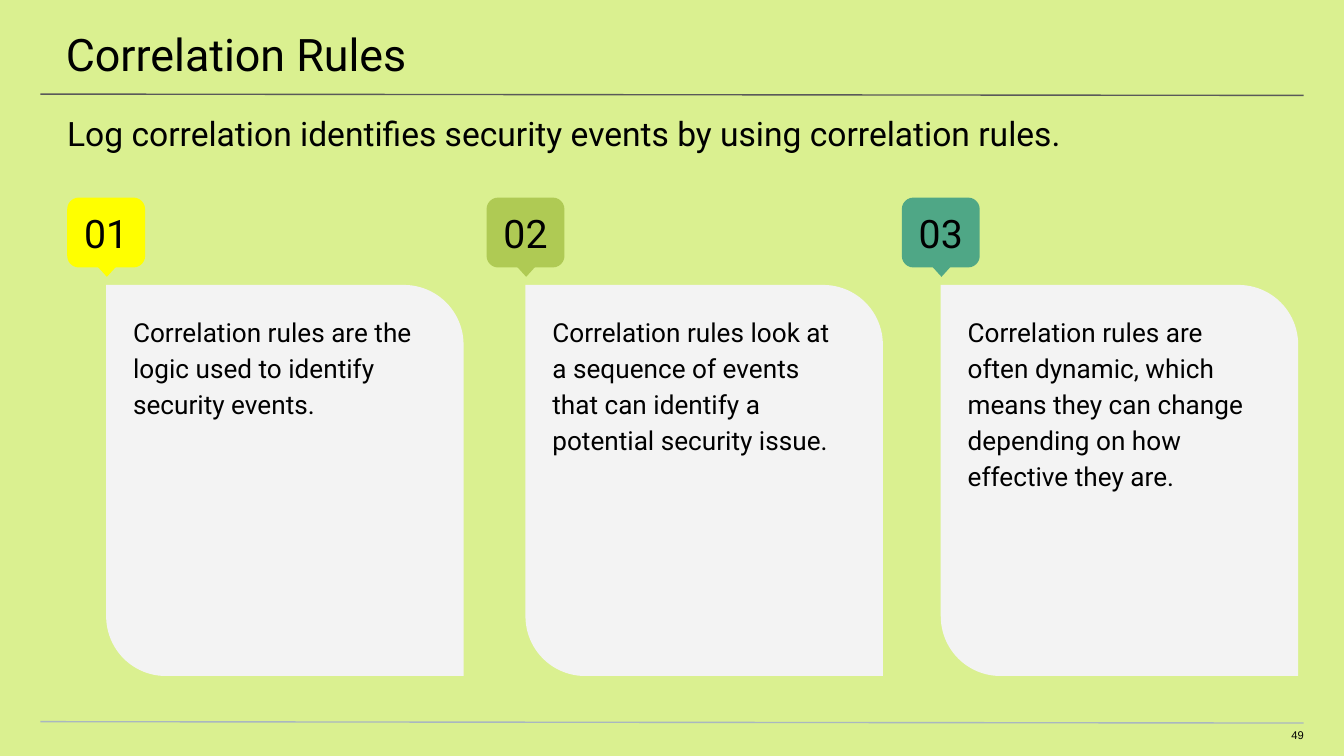
from dataclasses import dataclass

from lxml import etree
from pptx import Presentation
from pptx.dml.color import RGBColor
from pptx.enum.shapes import MSO_CONNECTOR, MSO_SHAPE
from pptx.enum.text import MSO_ANCHOR, PP_ALIGN
from pptx.oxml.ns import qn
from pptx.util import Inches, Pt


@dataclass(frozen=True)
class Theme:
    background: str = "DAF090"
    text: str = "000000"
    card: str = "F3F3F3"
    title_rule: str = "595959"
    footer_rule: str = "A9B7C0"
    font: str = "Roboto"
    number_font: str = "Arial"
    title_size: float = 24
    subtitle_size: float = 18
    badge_size: float = 21
    body_size: float = 14
    page_size: float = 6


theme = Theme()
presentation = Presentation()
presentation.slide_width = Inches(10)
presentation.slide_height = Inches(10 * 9 / 16)
slide = presentation.slides.add_slide(presentation.slide_layouts[6])
slide.background.fill.solid()
slide.background.fill.fore_color.rgb = RGBColor.from_string(theme.background)


def write_text(shape, text, size, insets, font=theme.font, align=PP_ALIGN.LEFT,
               anchor=MSO_ANCHOR.TOP, spacing=1.0):
    frame = shape.text_frame
    frame.word_wrap = True
    frame.vertical_anchor = anchor
    (frame.margin_left, frame.margin_top,
     frame.margin_right, frame.margin_bottom) = [Inches(inset) for inset in insets]
    paragraph = frame.paragraphs[0]
    paragraph.text = text
    paragraph.alignment = align
    paragraph.line_spacing = spacing
    paragraph.font.name = font
    paragraph.font.size = Pt(size)
    paragraph.font.color.rgb = RGBColor.from_string(theme.text)


def add_filled_shape(kind, left, top, width, height, color):
    shape = slide.shapes.add_shape(
        kind, Inches(left), Inches(top), Inches(width), Inches(height))
    shape.shadow.inherit = False
    shape.fill.solid()
    shape.fill.fore_color.rgb = RGBColor.from_string(color)
    shape.line.fill.background()
    return shape


for rule_top, rule_color in [(0.7, theme.title_rule), (5.37, theme.footer_rule)]:
    rule = slide.shapes.add_connector(
        MSO_CONNECTOR.STRAIGHT, Inches(0.3), Inches(rule_top),
        Inches(9.7), Inches(rule_top + 0.01))
    rule.line.color.rgb = RGBColor.from_string(rule_color)
    rule.line.width = Pt(0.75)
    etree.SubElement(rule.element.spPr, qn("a:effectLst"))

title = slide.shapes.add_textbox(Inches(-0.01), 0, Inches(10.03), Inches(0.58))
write_text(title, "Correlation Rules", theme.title_size, (0.5, 0.2, 0.3, 0.1))

subtitle = slide.shapes.add_textbox(0, Inches(0.74), Inches(10), Inches(0.4))
write_text(subtitle, "Log correlation identifies security events by using correlation rules.",
           theme.subtitle_size, (0.5, 0.1, 0.5, 0))

columns = [
    (0.5, "FFFF00", "Correlation rules are the logic used to identify security events."),
    (3.62, "AFCA54", "Correlation rules look at a sequence of events that can identify "
                     "a potential security issue."),
    (6.71, "4FA786", "Correlation rules are often dynamic, which means they can change "
                     "depending on how effective they are."),
]

for number, (left, color, text) in enumerate(columns, start=1):
    card_left = left + 0.29
    card = add_filled_shape(
        MSO_SHAPE.ROUND_2_DIAG_RECTANGLE, card_left, 2.12, 2.66, 2.91, theme.card)
    card.adjustments[0] = 0
    card.adjustments[1] = 0.167

    badge = add_filled_shape(MSO_SHAPE.ROUNDED_RECTANGLE, left, 1.47, 0.58, 0.52, color)
    write_text(badge, f"{number:02}", theme.badge_size, (0.1, 0.1, 0.1, 0.1),
               align=PP_ALIGN.CENTER, anchor=MSO_ANCHOR.MIDDLE)

    pointer = add_filled_shape(
        MSO_SHAPE.FLOWCHART_EXTRACT, left + 0.15, 1.9, 0.29, 0.16, color)
    pointer.rotation = 180

    body = slide.shapes.add_textbox(
        Inches(card_left), Inches(2.12), Inches(2.59), Inches(2.91))
    write_text(body, text, theme.body_size, (0.2, 0.2, 0.2, 0.2), spacing=1.15)

page_number = slide.shapes.add_textbox(
    Inches(9.41), Inches(5.42), Inches(0.29), Inches(0.12))
write_text(page_number, "49", theme.page_size, (0, 0, 0, 0.1),
           font=theme.number_font, align=PP_ALIGN.RIGHT)

presentation.save("out.pptx")
